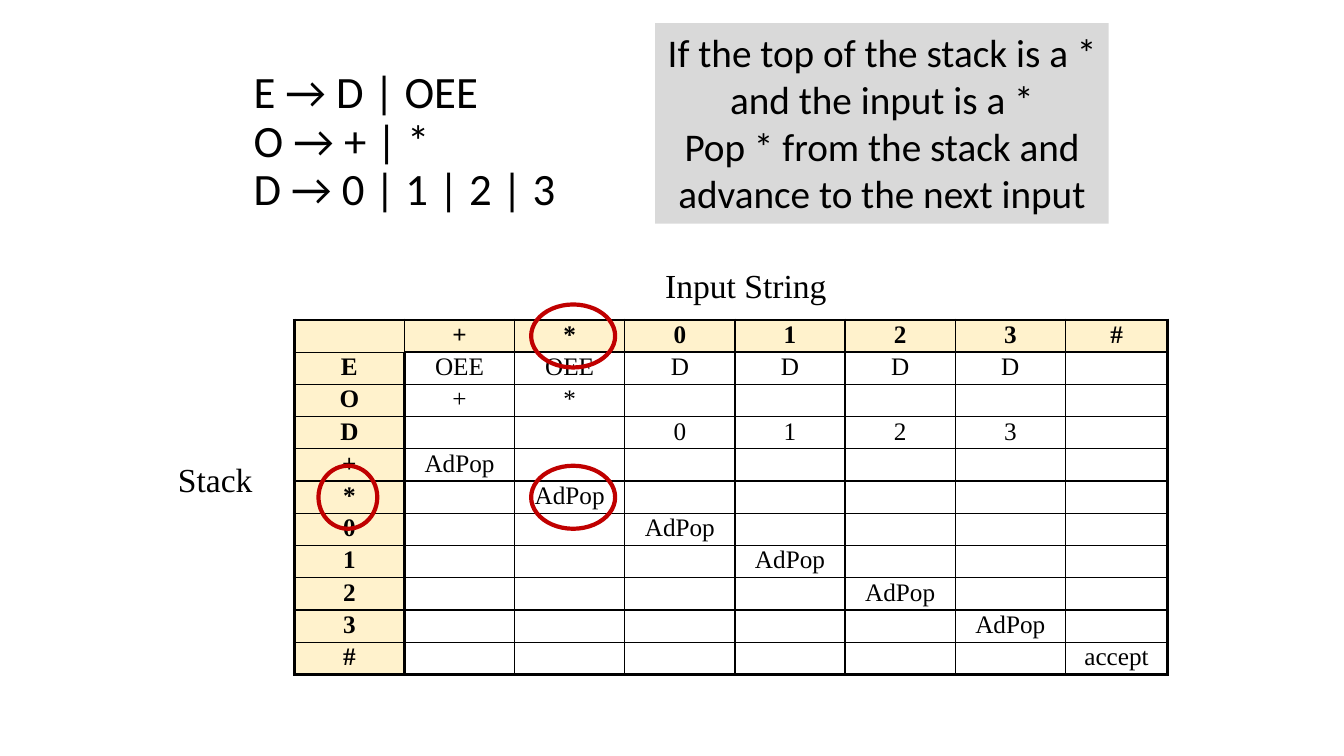
"""Build a slide showing a parse table for a small grammar."""
from dataclasses import dataclass

from lxml import etree
from pptx import Presentation
from pptx.dml.color import RGBColor
from pptx.enum.shapes import MSO_SHAPE
from pptx.enum.text import MSO_ANCHOR, PP_ALIGN
from pptx.oxml.ns import qn
from pptx.util import Pt

OVAL, RECT = MSO_SHAPE.OVAL, MSO_SHAPE.RECTANGLE
TOP, MID = MSO_ANCHOR.TOP, MSO_ANCHOR.MIDDLE
LEFT, MIDST = PP_ALIGN.LEFT, PP_ALIGN.CENTER
SANS, SERIF = "Calibri", "Times New Roman"
INK, CREAM, GREY, RED = "000000", "FFF2CC", "D9D9D9", "C00000"
THIN, THICK = 1, 2.25
ROW, WIDE, LAST = 23.04, 78.7, 73.1
GRID_X, GRID_Y = 210.2, 228.5

HEADS = ["+", "*", "0", "1", "2", "3", "#"]
STACK = ["E", "O", "D", *HEADS]
RULES = {
    "E": {"+": "OEE", "*": "OEE", "0": "D", "1": "D", "2": "D", "3": "D"},
    "O": {"+": "+", "*": "*"},
    "D": {key: key for key in "0123"},
    **{key: {key: "AdPop"} for key in HEADS[:-1]},
    "#": {"#": "accept"},
}


@dataclass
class Label:
    """A text box with its place and type."""
    text: str
    x: float
    y: float
    w: float
    h: float
    size: float
    font: str
    anchor: int = TOP
    pitch: float = 1.0


@dataclass
class Ring:
    """A red ring around one cell."""
    row: int
    x: float
    w: float


LABELS = [
    Label("E → D | OEE\nO → + | *\nD → 0 | 1 | 2 | 3",
          174, 30, 336, 144, 32, SANS, MID, 0.9),
    Label("Stack", 120, 324, 90, 36, 24, SERIF),
    Label("Input String", 468, 186, 156, 36, 24, SERIF),
]
RINGS = [Ring(5, 227.5, 42), Ring(0, 379.4, 60), Ring(5, 379.4, 60)]
NOTE = """If the top of the stack is a *
and the input is a *
Pop * from the stack and
advance to the next input"""


def tint(code: str) -> RGBColor:
    """Turn a hex string into a colour."""
    return RGBColor.from_string(code)


def style(para, size: float, font: str, align=LEFT, bold: bool = False) -> None:
    """Format a paragraph and its runs."""
    para.alignment = align
    for run in para.runs:
        run.font.size = Pt(size)
        run.font.name = font
        run.font.bold = bold
        run.font.color.rgb = tint(INK)


def add_label(slide, item: Label) -> None:
    """Draw one text box."""
    box = slide.shapes.add_textbox(Pt(item.x), Pt(item.y), Pt(item.w), Pt(item.h))
    frame = box.text_frame
    frame.word_wrap = True
    frame.vertical_anchor = item.anchor
    para = frame.paragraphs[0]
    para.text = item.text
    para.line_spacing = item.pitch
    style(para, item.size, item.font)


def add_edge(cell, side: str, width: float) -> None:
    """Draw one border of a cell."""
    props = cell._tc.get_or_add_tcPr()
    line = etree.SubElement(props, qn(f"a:ln{side}"), w=str(Pt(width)))
    fill = etree.SubElement(line, qn("a:solidFill"))
    etree.SubElement(fill, qn("a:srgbClr"), val=INK)


def fill_cell(cell, row: int, col: int, text: str) -> None:
    """Set the text, borders and fill of a cell."""
    head = row == 0 or col == 0
    heavy = {
        "L": col == 0 or (col == 1 and row > 0),
        "R": col == len(HEADS) or (col == 0 and row > 0),
        "T": row == 0 or (row == 1 and col > 0),
        "B": row == len(STACK) or (row == 0 and col > 0),
    }
    for side, thick in heavy.items():
        add_edge(cell, side, THICK if thick else THIN)
    if head:
        cell.fill.solid()
        cell.fill.fore_color.rgb = tint(CREAM)
    else:
        cell.fill.background()
    cell.margin_left = cell.margin_right = Pt(7.2)
    cell.margin_top = cell.margin_bottom = Pt(0.72)
    para = cell.text_frame.paragraphs[0]
    if text:
        para.text = text
    else:
        etree.SubElement(para._p, qn("a:endParaRPr"), sz="1200")
    style(para, 18, SERIF, MIDST, head)


def add_grid(slide) -> None:
    """Draw the parse table."""
    cells = [["", *HEADS]]
    cells += [[key, *(RULES[key].get(sign, "") for sign in HEADS)] for key in STACK]
    wides = [WIDE] * len(HEADS) + [LAST]
    frame = slide.shapes.add_table(len(cells), len(wides), Pt(GRID_X), Pt(GRID_Y),
                                   Pt(sum(wides)), Pt(ROW * len(cells)))
    table = frame.table
    table.first_row = table.horz_banding = False
    for column, wide in zip(table.columns, wides):
        column.width = Pt(wide)
    for row, texts in enumerate(cells):
        table.rows[row].height = Pt(ROW)
        for col, text in enumerate(texts):
            fill_cell(table.cell(row, col), row, col, text)


def add_ring(slide, ring: Ring) -> None:
    """Draw one ring over the table."""
    top = GRID_Y - 11 + ring.row * ROW
    oval = slide.shapes.add_shape(OVAL, Pt(ring.x), Pt(top), Pt(ring.w), Pt(45))
    oval.shadow.inherit = False
    oval.fill.background()
    oval.line.color.rgb = tint(RED)
    oval.line.width = Pt(3)


def add_note(slide) -> None:
    """Draw the grey note."""
    box = slide.shapes.add_shape(RECT, Pt(468), Pt(16.5), Pt(324), Pt(143.3))
    box.shadow.inherit = False
    box.fill.solid()
    box.fill.fore_color.rgb = tint(GREY)
    box.line.fill.background()
    frame = box.text_frame
    frame.word_wrap = False
    frame.vertical_anchor = TOP
    frame.text = NOTE
    for para in frame.paragraphs:
        style(para, 28, SANS, MIDST)


def main() -> None:
    """Build and save the slide."""
    deck = Presentation()
    deck.slide_width, deck.slide_height = Pt(960), Pt(540)
    slide = deck.slides.add_slide(deck.slide_layouts[6])
    add_grid(slide)
    for item in LABELS:
        add_label(slide, item)
    add_note(slide)
    for ring in RINGS:
        add_ring(slide, ring)
    deck.save("out.pptx")


if __name__ == "__main__":
    main()
